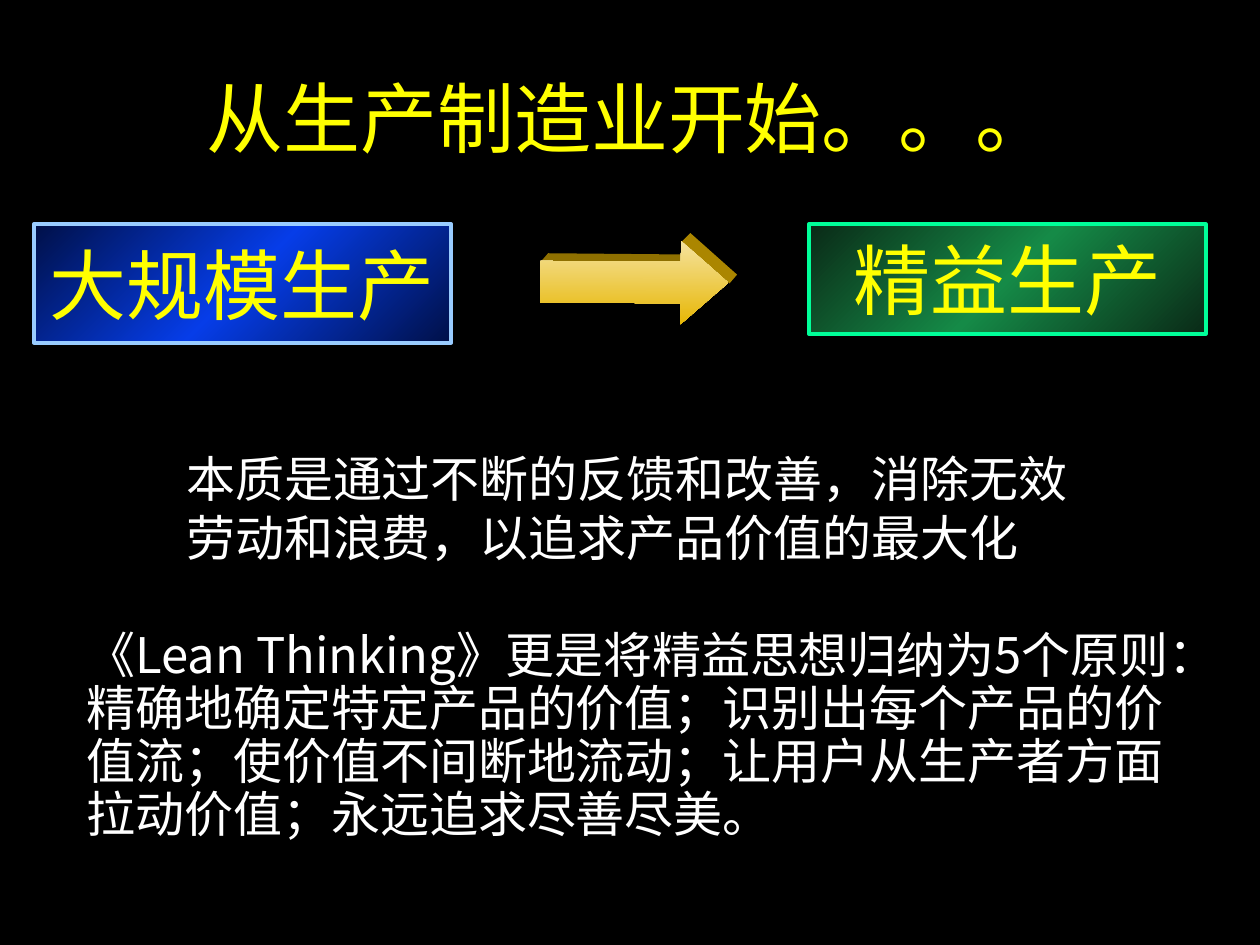
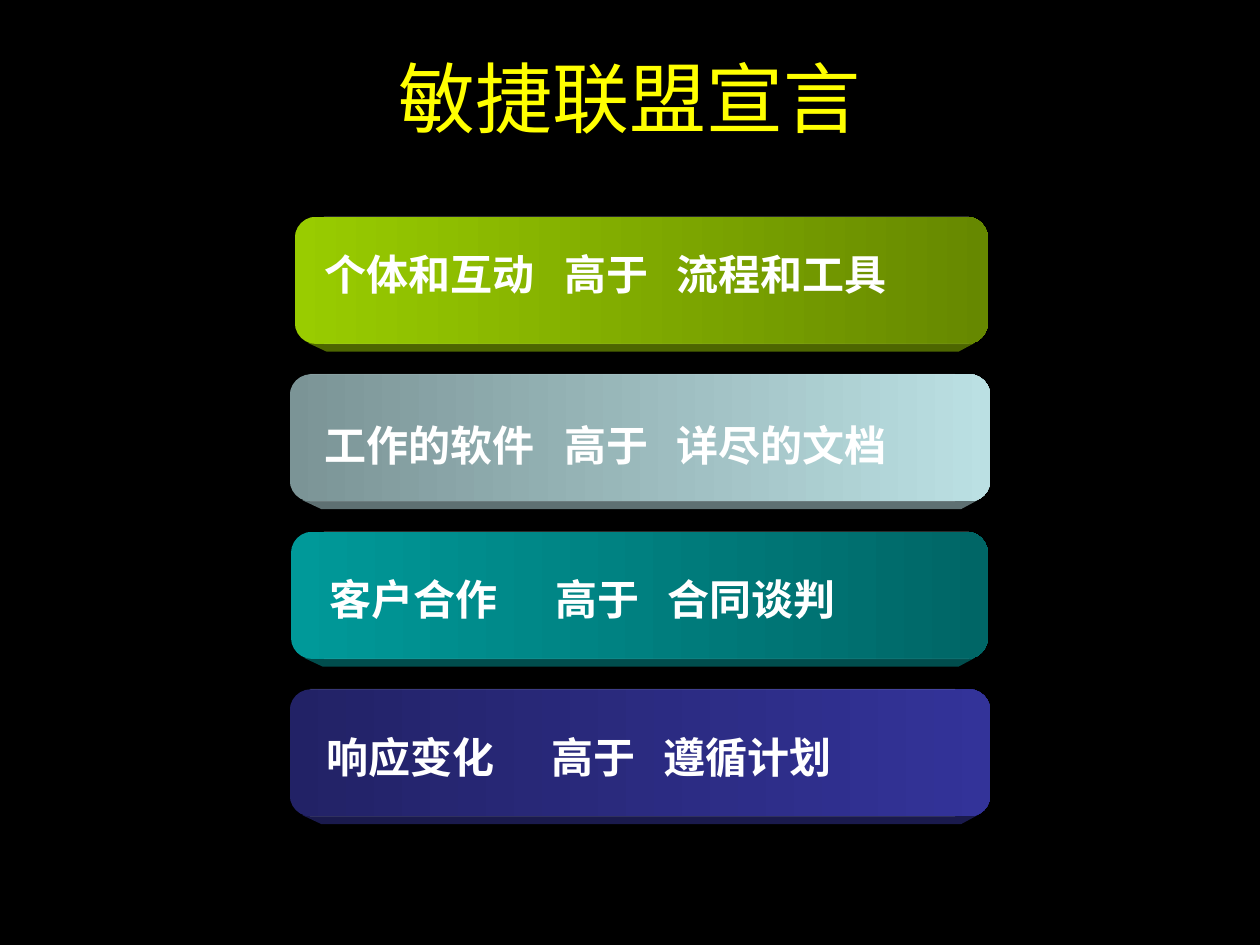
from lxml.etree import SubElement
from pptx import Presentation
from pptx.dml.color import RGBColor
from pptx.enum.shapes import MSO_CONNECTOR, MSO_SHAPE
from pptx.enum.text import MSO_ANCHOR as Anchor, PP_ALIGN as Align
from pptx.oxml.ns import qn
from pptx.util import Inches, Pt

COLORS = {
    "back": "000000", "title": "FFFF00", "text": "FFFFFF",
    "blue_dark": "001048", "blue": "063DE8", "blue_edge": "99CCFF",
    "green_dark": "0A2A17", "green": "158A47", "green_edge": "00FF99",
    "gold_light": "F5E3A0", "gold": "E7B705", "gold_side": "8F7000", "gold_head": "AB8600",
    "lime": "99CC00", "lime_dark": "668800", "lime_side": "4D6600",
    "mist": "BBE0E3", "mist_dark": "7B9496", "mist_side": "5E7072",
    "teal": "009999", "teal_dark": "006666", "teal_side": "004D4D",
    "navy": "333399", "navy_dark": "222266", "navy_side": "1A1A4D",
}


def rgb(name):
    return RGBColor.from_string(COLORS[name])


class SlideBuilder:
    """Holds the deck, its text style and the current slide."""

    font = "Arial"
    title_size = 44
    body_size = 28

    def __init__(self):
        self.deck = Presentation()
        self.deck.slide_width, self.deck.slide_height = Inches(10), Inches(7.5)
        self.page = None

    def new_page(self, title, title_height):
        self.page = self.deck.slides.add_slide(self.deck.slide_layouts[6])
        self.page.background.fill.solid()
        self.page.background.fill.fore_color.rgb = rgb("back")
        box = self.text(title, 0.5, 0.3, 9, title_height, self.title_size, "title")
        box.text_frame.vertical_anchor = Anchor.MIDDLE
        box.text_frame.paragraphs[0].alignment = Align.CENTER

    def style(self, para, size, color, bold=False, font=None):
        for span in para.runs:
            span.font.name = font or self.font
            span.font.size = Pt(size)
            span.font.bold = bold
            span.font.color.rgb = rgb(color)

    def text(self, words, left, top, width, height, size, color="text",
             bold=False, font=None, spacing=None, tabs=()):
        box = self.page.shapes.add_textbox(
            Inches(left), Inches(top), Inches(width), Inches(height))
        box.text_frame.word_wrap = True
        box.text_frame.text = words
        para = box.text_frame.paragraphs[0]
        if tabs:
            tab_list = SubElement(para._p.get_or_add_pPr(), qn("a:tabLst"))
            for position in tabs:
                SubElement(tab_list, qn("a:tab"), pos=str(Inches(position)), algn="l")
        if spacing:
            para.line_spacing = spacing
        self.style(para, size, color, bold, font)
        return box

    def gradient_shape(self, kind, left, top, width, height, stops, angle=0):
        shape = self.page.shapes.add_shape(
            kind, Inches(left), Inches(top), Inches(width), Inches(height))
        shape.shadow.inherit = False
        shape.line.fill.background()
        shape.fill.gradient()
        shape.fill.gradient_angle = (360 - angle) % 360
        stop_list = shape._element.spPr.find(qn("a:gradFill")).find(qn("a:gsLst"))
        for stop in list(stop_list):
            stop_list.remove(stop)
        for index, color in enumerate(stops):
            position = 100000 * index // (len(stops) - 1)
            stop = SubElement(stop_list, qn("a:gs"), pos=str(position))
            SubElement(stop, qn("a:srgbClr"), val=COLORS[color])
        return shape

    def framed_label(self, words, left, top, width, height, hue):
        stops = (f"{hue}_dark", hue, f"{hue}_dark")
        label = self.gradient_shape(MSO_SHAPE.RECTANGLE, left, top, width, height, stops, 45)
        label.line.color.rgb = rgb(f"{hue}_edge")
        label.line.width = Pt(2.25)
        frame = label.text_frame
        frame.text = words
        frame.word_wrap = False
        frame.vertical_anchor = Anchor.MIDDLE
        frame.paragraphs[0].alignment = Align.CENTER
        self.style(frame.paragraphs[0], self.title_size, "title")

    def side_face(self, points, color):
        corners = [(Inches(x), Inches(y)) for x, y in points]
        builder = self.page.shapes.build_freeform(*corners[0])
        builder.add_line_segments(corners[1:], close=True)
        face = builder.convert_to_shape()
        face.shadow.inherit = False
        face.fill.solid()
        face.fill.fore_color.rgb = rgb(color)
        face.line.fill.background()

    def glint(self, left, top, width, opacity):
        line = self.page.shapes.add_connector(
            MSO_CONNECTOR.STRAIGHT, Inches(left), Inches(top),
            Inches(left + width), Inches(top))
        line.line.color.rgb = rgb("text")
        line.line.width = Pt(0.25)
        color = line._element.spPr.find(".//" + qn("a:srgbClr"))
        SubElement(color, qn("a:alpha"), val=str(opacity * 1000))
        SubElement(line._element.spPr, qn("a:effectLst"))

    def value_bar(self, words, left, top, width, stops, side, glint_left,
                  text_left, text_top, tabs):
        height = 1.01
        right, bottom = left + width, top + height
        self.side_face([(left + 0.1, bottom - 0.01), (right - 0.1, bottom - 0.01),
                        (right - 0.23, bottom + 0.06), (left + 0.25, bottom + 0.06)], side)
        bar = self.gradient_shape(
            MSO_SHAPE.ROUNDED_RECTANGLE, left, top, width, height, stops)
        bar.adjustments[0] = 0.167
        self.glint(glint_left, bottom, 5.12, 15)
        self.glint(glint_left, top, 5.12, 25)
        self.text("\t".join(words), text_left, text_top, 5, 0.5, 24, bold=True, tabs=tabs)


def lean_page(slides):
    slides.new_page("从生产制造业开始。。。", 1.25)
    slides.framed_label("精益生产", 6.42, 1.78, 3.15, 0.87, "green")
    slides.framed_label("大规模生产", 0.27, 1.78, 3.31, 0.94, "blue")

    # Arrow with its raised sides
    slides.side_face([(4.29, 2.08), (4.35, 2.01), (5.43, 2.02), (5.43, 2.09)], "gold_side")
    slides.side_face([(5.41, 1.92), (5.48, 1.85), (5.85, 2.18), (5.79, 2.25)], "gold_head")
    arrow = slides.gradient_shape(
        MSO_SHAPE.RIGHT_ARROW, 4.29, 1.91, 1.49, 0.66, ("gold_light", "gold"), 90)
    arrow.adjustments[0], arrow.adjustments[1] = 0.5, 0.57
    arrow.rotation = 0.3

    # Explanations
    slides.text("《Lean Thinking》更是将精益思想归纳为5个原则：精确地确定特定产品的价值；"
                "识别出每个产品的价值流；使价值不间断地流动；让用户从生产者方面拉动价值；"
                "永远追求尽善尽美。",
                0.59, 4.96, 8.9, 1.78, slides.body_size, font="Noto Sans CJK JP", spacing=0.9)
    slides.text("本质是通过不断的反馈和改善，消除无效劳动和浪费，以追求产品价值的最大化",
                1.38, 3.51, 7.37, 1.03, slides.body_size)


def manifesto_page(slides):
    slides.new_page("敏捷联盟宣言", 0.93)
    long_tabs, short_tabs = (1.9, 2.79), (1.79, 2.68)
    # preferred, lesser, left, width, hue, dark end first, glint left, text left, text top, tabs
    values = [
        ("个体和互动", "流程和工具", 2.34, 5.5, "lime", False, 2.57, 2.48, 1.92, long_tabs),
        ("工作的软件", "详尽的文档", 2.3, 5.56, "mist", True, 2.46, 2.48, 3.28, long_tabs),
        ("客户合作", "合同谈判", 2.31, 5.53, "teal", False, 2.57, 2.52, 4.5, short_tabs),
        ("响应变化", "遵循计划", 2.3, 5.56, "navy", True, 2.46, 2.49, 5.76, short_tabs),
    ]
    for row, value in enumerate(values):
        preferred, lesser, left, width, hue, dark_first, *places = value
        stops = (f"{hue}_dark", hue) if dark_first else (hue, f"{hue}_dark")
        slides.value_bar((preferred, "高于", lesser), left, 1.72 + 1.25 * row, width,
                         stops, f"{hue}_side", *places)


def main():
    slides = SlideBuilder()
    lean_page(slides)
    manifesto_page(slides)
    slides.deck.save("out.pptx")


if __name__ == "__main__":
    main()
